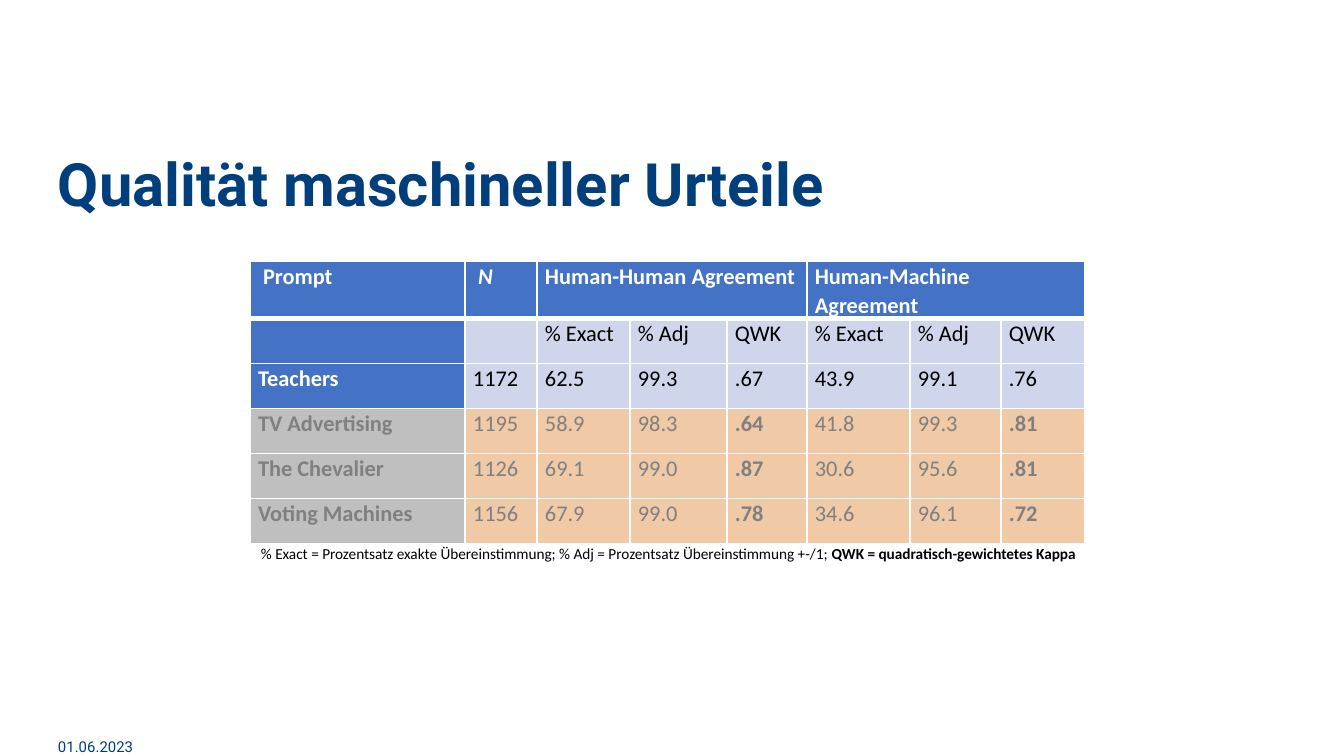
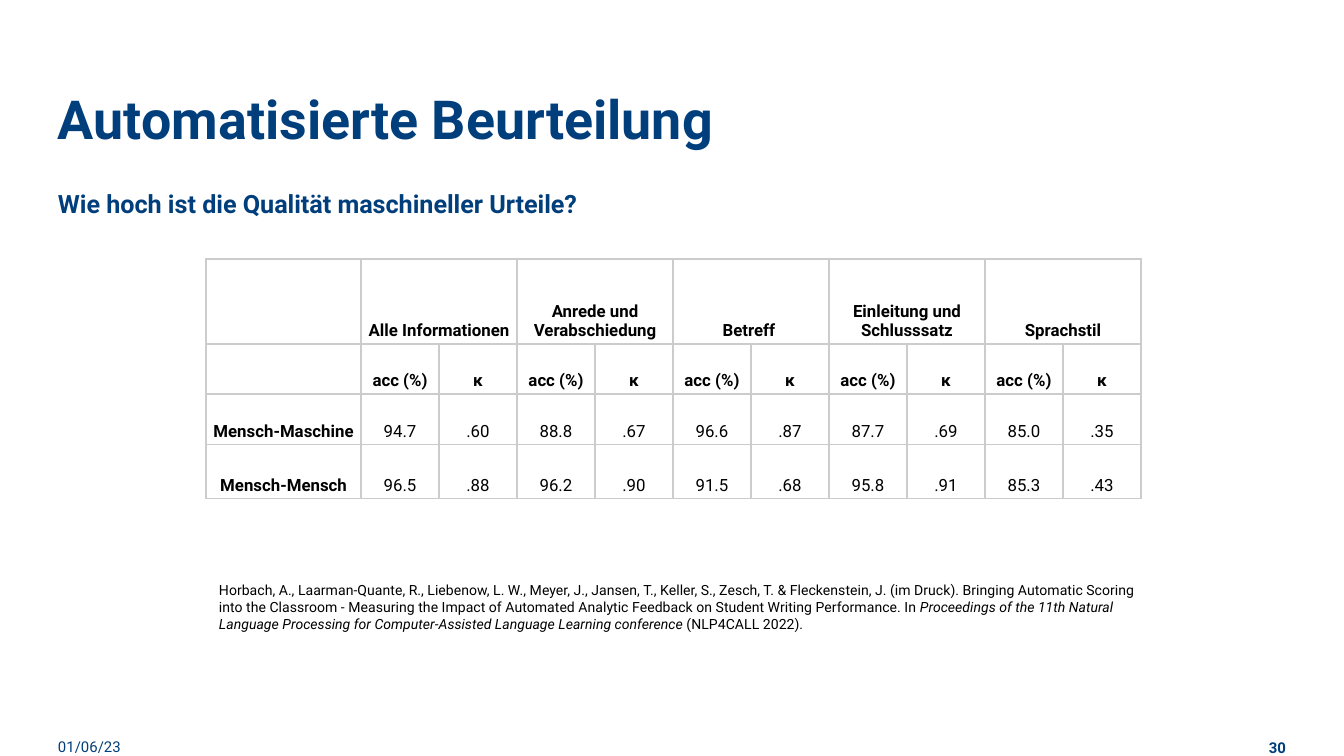
"""Build two slides on the quality of automated essay scoring."""
from copy import deepcopy
from itertools import takewhile

from lxml.etree import SubElement
from pptx import Presentation
from pptx.dml.color import RGBColor
from pptx.enum.text import MSO_ANCHOR, MSO_AUTO_SIZE, PP_ALIGN
from pptx.oxml.ns import qn
from pptx.util import Emu, Pt

COLORS = {
    "navy": "003E7C", "black": "000000", "white": "FFFFFF", "blue": "4472C4",
    "pale_blue": "CFD5EA", "gray": "BFBFBF", "dark_gray": "808080",
    "peach": "F0C9A6", "rule_gray": "CCCCCC",
}
EMU_PER_PX = 914400 / 134.4
SLIDE_SIZE = (1344, 756)
TITLE_AREA = (58, 134, 1228, 85)
DATE_AREA = (58, 738, 95, 19)
NUMBER_AREA = (1212, 738, 74, 19)
NO_STYLE_TABLE = "{2D5ABB26-0587-4C30-8999-92F81FD0307C}"
LINE_BREAK = None
SPANNED = None

TITLE_STYLE = {"font": "Roboto", "size": 32, "color": "navy", "bold": True}
FOOTER_STYLE = {"font": "Roboto", "size": 8, "color": "navy"}
NOTE_STYLE = {"font": "Calibri", "size": 8.2, "color": "black"}
CITATION_STYLE = {"font": "Roboto", "size": 7.5, "color": "black"}
AGREEMENT_STYLE = {"font": "Calibri", "size": 12}
ACCURACY_STYLE = {"font": "Roboto", "size": 9, "color": "black"}

AGREEMENT_TITLE = [("Qualität maschineller Urteile", {})]
AGREEMENT_DATE = "01.06.2023"
AGREEMENT_AREA = (250, 261)
AGREEMENT_COLUMNS = [215, 72, 93, 97, 80, 103, 91, 84]
AGREEMENT_ROWS = [45] * 6
AGREEMENT = [
    [" Prompt", [(" ", {}), ("N", {"italic": True})],
     "Human-Human Agreement", SPANNED, SPANNED, "Human-Machine Agreement", SPANNED, SPANNED],
    ["", "", "% Exact", "% Adj", "QWK", "% Exact", "% Adj", "QWK"],
    ["Teachers", "1172", "62.5", "99.3", ".67", "43.9", "99.1", ".76"],
    ["TV Advertising", "1195", "58.9", "98.3", ".64", "41.8", "99.3", ".81"],
    ["The Chevalier", "1126", "69.1", "99.0", ".87", "30.6", "95.6", ".81"],
    ["Voting Machines", "1156", "67.9", "99.0", ".78", "34.6", "96.1", ".72"],
]
KAPPA_COLUMNS = (4, 7)
FIRST_MUTED_ROW = 3
NOTE_AREA = (250, 530, 852, 47)
NOTE = [
    ("% Exact = Prozentsatz exakte Übereinstimmung; % Adj = Prozentsatz Übereinstimmung +-/1; ", {}),
    ("QWK = quadratisch-gewichtetes Kappa", {"bold": True}),
]

ACCURACY_TITLE = [
    ("Automatisierte Beurteilung", {"size": 28.8}),
    LINE_BREAK,
    ("Wie hoch ist die Qualität maschineller Urteile?", {"size": 13.5}),
]
ACCURACY_DATE = "01/06/23"
ACCURACY_NUMBER = "30"
ACCURACY_AREA = (206, 259)
ACCURACY_COLUMNS = [155] + [78] * 10
ACCURACY_ROWS = [85, 50, 51, 54]
ACCURACY = [
    ["", "Alle Informationen", SPANNED, "Anrede und Verabschiedung", SPANNED,
     "Betreff ", SPANNED, "Einleitung und Schlusssatz", SPANNED, "Sprachstil", SPANNED],
    [""] + ["acc (%)", "κ"] * 5,
    ["Mensch-Maschine", "94.7", ".60", "88.8", ".67", "96.6", ".87", "87.7", ".69", "85.0", ".35"],
    ["Mensch-Mensch", "96.5", ".88", "96.2", ".90", "91.5", ".68", "95.8", ".91", "85.3", ".43"],
]
CITATION_AREA = (206, 575, 946, 65)
CITATION = [
    ("Horbach, A., Laarman-Quante, R., Liebenow, L. W., Meyer, J., Jansen, T., Keller, S., "
     "Zesch, T. & Fleckenstein, J. (im Druck). Bringing Automatic Scoring into the Classroom - "
     "Measuring the Impact of Automated Analytic Feedback on Student Writing Performance. In ", {}),
    ("Proceedings of the 11th Natural Language Processing for Computer-Assisted Language "
     "Learning conference ", {"italic": True}),
    ("(NLP4CALL 2022).", {}),
]


def px(length):
    return Emu(round(length * EMU_PER_PX))


def write(para, spans, style):
    for item in spans:
        if item is LINE_BREAK:
            para.add_line_break()
            continue
        text, changes = item
        look = {**style, **changes}
        span = para.add_run()
        span.text = text
        span.font.name = look["font"]
        span.font.size = Pt(look["size"])
        span.font.bold = look.get("bold", False)
        span.font.italic = look.get("italic", False)
        span.font.color.rgb = RGBColor.from_string(COLORS[look["color"]])
    for line_break in para._p.findall(qn("a:br")):
        line_break.append(deepcopy(para.runs[0]._r.rPr))
    if not spans:
        SubElement(para._p, qn("a:endParaRPr"), sz=str(style["size"] * 100))


def set_margins(area, horizontal, vertical):
    area.margin_left = area.margin_right = px(horizontal)
    area.margin_top = area.margin_bottom = px(vertical)


def add_text(page, area, spans, style, margins, anchor=MSO_ANCHOR.TOP, align=PP_ALIGN.LEFT):
    box = page.shapes.add_textbox(*map(px, area))
    frame = box.text_frame
    frame.word_wrap = True
    frame.vertical_anchor = anchor
    set_margins(frame, *margins)
    para = frame.paragraphs[0]
    para.alignment = align
    write(para, spans, style)


def add_page(deck, title_spans, date):
    page = deck.slides.add_slide(deck.slide_layouts[5])
    title = page.shapes.title
    title.left, title.top, title.width, title.height = map(px, TITLE_AREA)
    frame = title.text_frame
    frame.auto_size = MSO_AUTO_SIZE.NONE
    frame.word_wrap = True
    frame.vertical_anchor = MSO_ANCHOR.BOTTOM
    set_margins(frame, 0, 0)
    para = frame.paragraphs[0]
    para.alignment = PP_ALIGN.LEFT
    para.line_spacing = Pt(36.8)
    write(para, title_spans, TITLE_STYLE)
    add_text(page, DATE_AREA, [(date, {})], FOOTER_STYLE, (0, 0))
    return page


def set_borders(cell, color, widths):
    properties = cell._tc.get_or_add_tcPr()
    for side in ("L", "R", "T", "B"):
        line = SubElement(properties, qn(f"a:ln{side}"), w=str(Pt(widths[side])))
        fill = SubElement(line, qn("a:solidFill"))
        SubElement(fill, qn("a:srgbClr"), val=COLORS[color])


def add_table(page, area, columns, rows, contents, format_cell):
    """Add a plain table; format_cell sets each cell's look and returns its text style."""
    size = (sum(columns), sum(rows))
    frame = page.shapes.add_table(len(rows), len(columns), *map(px, area + size))
    table = frame.table
    table.first_row = table.horz_banding = False
    table._tbl.tblPr.find(qn("a:tableStyleId")).text = NO_STYLE_TABLE
    for column, width in zip(table.columns, columns):
        column.width = px(width)
    for row, height in zip(table.rows, rows):
        row.height = px(height)
    for r, line in enumerate(contents):
        for c, content in enumerate(line):
            cell = table.cell(r, c)
            style = format_cell(cell, r, c)
            if content is SPANNED:
                continue
            span_count = len(list(takewhile(lambda text: text is SPANNED, line[c + 1:])))
            if span_count:
                cell.merge(table.cell(r, c + span_count))
            if isinstance(content, str):
                content = [(content, {})] if content else []
            write(cell.text_frame.paragraphs[0], content, style)


def format_agreement(cell, r, c):
    muted = r >= FIRST_MUTED_ROW
    heading = r == 0 or c == 0
    set_margins(cell, 8, 0)
    set_borders(cell, "white", {"L": 1, "R": 1, "T": 3 if r == 1 else 1, "B": 3 if r == 0 else 1})
    if muted:
        fill, color = ("gray" if heading else "peach"), "dark_gray"
    else:
        fill, color = ("blue", "white") if heading else ("pale_blue", "black")
    cell.fill.solid()
    cell.fill.fore_color.rgb = RGBColor.from_string(COLORS[fill])
    cell.text_frame.paragraphs[0].line_spacing = 1.07
    bold = heading or (muted and c in KAPPA_COLUMNS)
    return {**AGREEMENT_STYLE, "color": color, "bold": bold}


def format_accuracy(cell, r, c):
    set_margins(cell, 3, 3)
    set_borders(cell, "rule_gray", dict.fromkeys("LRTB", 0.75))
    cell.vertical_anchor = MSO_ANCHOR.BOTTOM
    cell.text_frame.paragraphs[0].alignment = PP_ALIGN.CENTER
    return {**ACCURACY_STYLE, "bold": r < 2 or c == 0}


def add_agreement_page(deck):
    page = add_page(deck, AGREEMENT_TITLE, AGREEMENT_DATE)
    add_table(page, AGREEMENT_AREA, AGREEMENT_COLUMNS, AGREEMENT_ROWS, AGREEMENT, format_agreement)
    add_text(page, NOTE_AREA, NOTE, NOTE_STYLE, (11, 5), MSO_ANCHOR.MIDDLE)


def add_accuracy_page(deck):
    page = add_page(deck, ACCURACY_TITLE, ACCURACY_DATE)
    add_text(page, NUMBER_AREA, [(ACCURACY_NUMBER, {"bold": True})], FOOTER_STYLE, (0, 0),
             MSO_ANCHOR.BOTTOM, PP_ALIGN.RIGHT)
    add_table(page, ACCURACY_AREA, ACCURACY_COLUMNS, ACCURACY_ROWS, ACCURACY, format_accuracy)
    add_text(page, CITATION_AREA, CITATION, CITATION_STYLE, (13, 7))


def main():
    deck = Presentation()
    deck.slide_width, deck.slide_height = map(px, SLIDE_SIZE)
    add_agreement_page(deck)
    add_accuracy_page(deck)
    deck.save("out.pptx")


if __name__ == "__main__":
    main()
